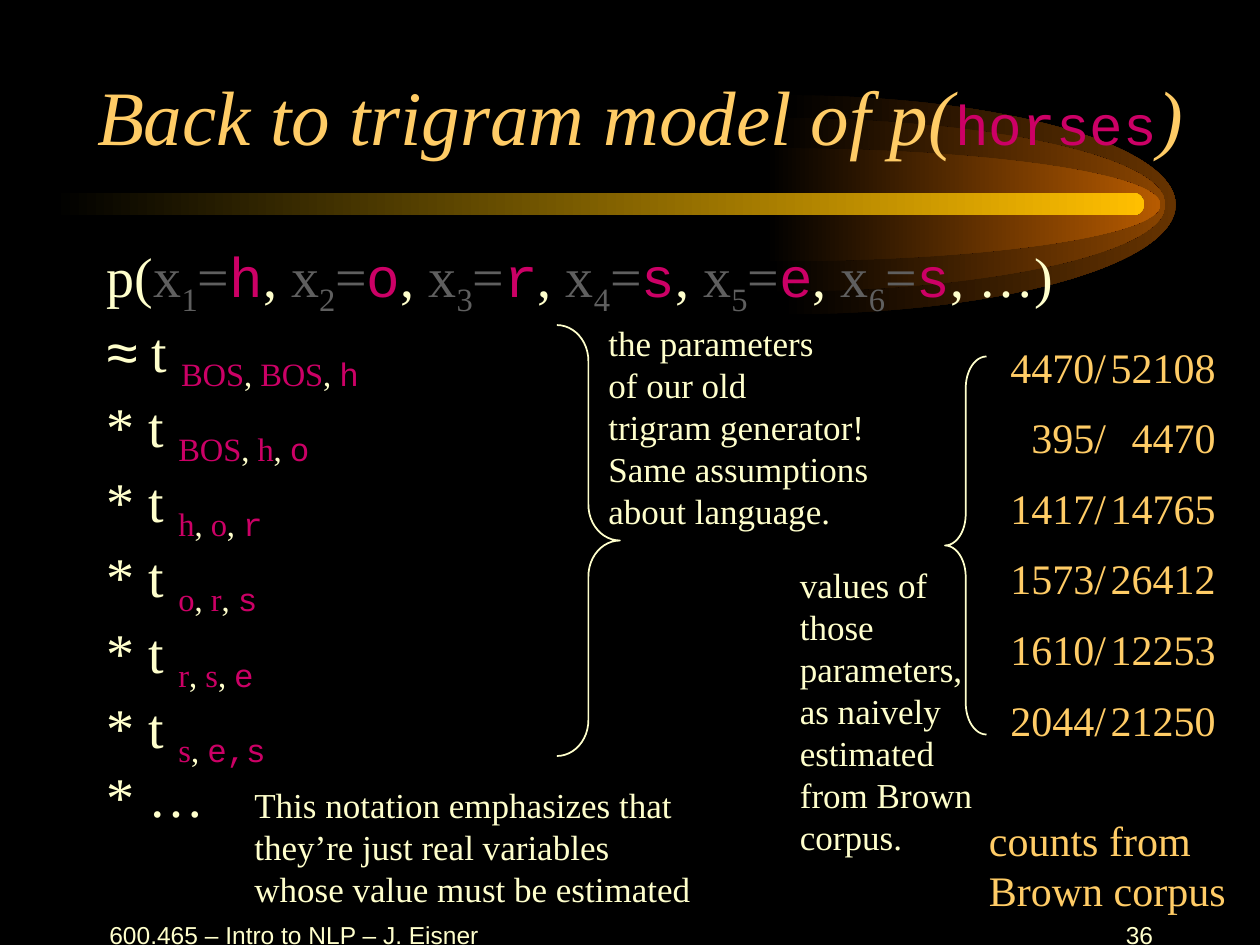
from lxml import etree
from pptx import Presentation
from pptx.dml.color import RGBColor
from pptx.enum.shapes import MSO_SHAPE
from pptx.enum.text import MSO_ANCHOR, PP_ALIGN
from pptx.oxml.ns import qn
from pptx.util import Inches, Pt

LEFT, CENTER, RIGHT = PP_ALIGN.LEFT, PP_ALIGN.CENTER, PP_ALIGN.RIGHT
TOP, MIDDLE, BOTTOM = MSO_ANCHOR.TOP, MSO_ANCHOR.MIDDLE, MSO_ANCHOR.BOTTOM
SERIF, SANS, MONO = "Times New Roman", "Arial", "Courier New"
COLORS = {"black": "000000", "cream": "FFFFCC", "gold": "FFCC66",
          "pink": "CC0066", "gray": "5F5F5F", "bar": "FFBF00",
          "outer": "663300", "middle": "894400", "inner": "B75B00"}

# Content: a paragraph is a string or a list of (text, run format) pairs
TITLE = [("Back to trigram model of p(", {}),
         ("horses", dict(font=MONO, size=32, color="pink", italic=False)),
         (")", {})]
LETTERS = ["h", "o", "r", "s", "e", "s"]
FACTORS = [("≈", ["BOS", "BOS"], "h"), ("*", ["BOS", "h"], "o"),
           ("*", ["h", "o"], "r"), ("*", ["o", "r"], "s"),
           ("*", ["r", "s"], "e"), ("*", ["s"], "e,s")]
COUNTS = [(4470, 52108), (395, 4470), (1417, 14765),
          (1573, 26412), (1610, 12253), (2044, 21250)]
NOTES = [  # left, top, width, height, paragraphs
    (4.73, 2.5, 2.3, 1.77,
     ["the parameters", "of our old", "trigram generator!",
      "Same assumptions", "about language."]),
    (6.25, 4.42, 1.67, 2.44,
     ["values of",
      "those parameters, as naively estimated from Brown corpus."]),
    (1.92, 6.17, 3.75, 1.1,
     ["This notation emphasizes that they’re just real variables "
      "whose value must be estimated"]),
]
FOOTERS = [(0.75, 3.17, CENTER, "600.465 – Intro to NLP – J. Eisner"),
           (7.17, 2.08, RIGHT, "36")]
GLOWS = [(6.2, 0.87, "outer"), (6.12, 0.69, "middle"),
         (6.08, 0.45, "inner")]  # centre x, vertical radius, colour
GLOW_Y, GLOW_RX = 1.625, 3.13
ARC = 0.55  # Bezier handle length of a quarter ellipse
BRACES = [(MSO_SHAPE.RIGHT_BRACE, 4.42, 2.58, 0.5, 3.42),
          (MSO_SHAPE.LEFT_BRACE, 7.5, 2.83, 0.33, 3)]


def rgb(name):
    return RGBColor.from_string(COLORS[name])


def write(sp, paragraphs, font=SERIF, size=20, color="cream", italic=False,
          align=LEFT, anchor=TOP, spacing=None, before=0):
    tf = sp.text_frame
    tf.word_wrap, tf.vertical_anchor = True, anchor
    for i, runs in enumerate(paragraphs):
        p = tf.add_paragraph() if i else tf.paragraphs[0]
        p.alignment, p.line_spacing = align, spacing
        p.space_before = Pt(before)
        for text, fmt in [(runs, {})] if isinstance(runs, str) else runs:
            r = p.add_run()
            r.text = text
            r.font.name = fmt.get("font", font)
            r.font.size = Pt(fmt.get("size", size))
            r.font.italic = fmt.get("italic", italic)
            r.font.color.rgb = rgb(fmt.get("color", color))
            if fmt.get("sub"):
                r.font._element.set("baseline", "-25000")
    return tf


def textbox(s, x, y, w, h, paragraphs, **fmt):
    sp = s.shapes.add_textbox(Inches(x), Inches(y), Inches(w), Inches(h))
    return write(sp, paragraphs, **fmt)


def fade(sp, color):
    sp.shadow.inherit = False
    sp.line.fill.background()
    sp.fill.gradient()
    sp.fill.gradient_angle = 0
    for stop, name in zip(sp.fill.gradient_stops, ("black", color)):
        stop.color.rgb = rgb(name)


def half_ellipse(s, cx, cy, rx, ry):
    fb = s.shapes.build_freeform(Inches(cx), Inches(cy - ry))
    fb.add_line_segments([(Inches(cx + rx), Inches(cy)),
                          (Inches(cx), Inches(cy + ry))], close=True)
    sp = fb.convert_to_shape()
    # Turn the two straight sides into quarter arcs
    arcs = [[(ARC, 0), (1, 1 - ARC), (1, 1)],
            [(1, 1 + ARC), (ARC, 2), (0, 2)]]
    sides = list(sp._element.iter(qn("a:lnTo")))
    for side, arc in zip(sides, arcs):
        curve = etree.Element(qn("a:cubicBezTo"))
        for x, y in arc:
            etree.SubElement(curve, qn("a:pt"), x=str(Inches(x * rx)),
                             y=str(Inches(y * ry)))
        side.getparent().replace(side, curve)
    return sp


def set_tabs(p, stops):
    tabs = etree.SubElement(p._p.get_or_add_pPr(), qn("a:tabLst"))
    for pos in stops:
        etree.SubElement(tabs, qn("a:tab"), pos=str(Inches(pos)), algn="r")


def probability_line():
    pink, gray = dict(font=MONO, color="pink"), dict(color="gray")
    runs = [("p(", {})]
    for i, letter in enumerate(LETTERS, 1):
        runs += [("x", gray), (str(i), dict(gray, sub=True)), ("=", gray),
                 (letter, pink), (", ", {})]
    return runs + [("…)", {})]


def factor_line(sign, history, letter):
    runs = [(sign, dict(font=SANS if sign == "≈" else SERIF)), (" t ", {})]
    for item in history:
        runs += [(item, dict(color="pink", sub=True)), (", ", dict(sub=True))]
    return runs + [(letter, dict(font=MONO, color="pink", sub=True))]


prs = Presentation()
prs.slide_width, prs.slide_height = Inches(10), Inches(7.5)
s = prs.slides.add_slide(prs.slide_layouts[5])
s.background.fill.solid()
s.background.fill.fore_color.rgb = rgb("black")

# Comet: nested half ellipses and a bar
for cx, ry, color in GLOWS:
    fade(half_ellipse(s, cx, GLOW_Y, GLOW_RX, ry), color)
bar = s.shapes.add_shape(MSO_SHAPE.ROUNDED_RECTANGLE, Inches(0.42),
                         Inches(1.53), Inches(8.66), Inches(0.18))
bar.adjustments[0] = 0.5
fade(bar, "bar")

# Footer
for x, w, align, text in FOOTERS:
    textbox(s, x, 7.17, w, 0.5, [text], font=SANS, size=14, align=align,
            anchor=MIDDLE)

# Title, moved in front of the comet
title = s.shapes.title
title.left, title.top = Inches(0.67), Inches(0.08)
title.width, title.height = Inches(8.92), Inches(1.25)
write(title, [TITLE], size=44, color="gold", italic=True, anchor=BOTTOM)
s.shapes._spTree.append(title._element)

# Trigram product
product = [probability_line(), *(factor_line(*f) for f in FACTORS), "* …"]
textbox(s, 0.75, 1.92, 8.5, 5, product, size=32, spacing=0.8, before=8)

# Counts, aligned on right tabs
rows = [f"\t{n}/\t{total}" for n, total in COUNTS]
tf = textbox(s, 7.75, 2.5, 2.25, 4.82, rows + ["counts from Brown corpus"],
             size=24, color="gold", spacing=1.4)
for p in tf.paragraphs[:-1]:
    set_tabs(p, (0.93, 1.8))
caption = tf.paragraphs[-1]
caption.line_spacing, caption.space_before = 1.0, Pt(40)

# Braces and notes
for (kind, x, y, w, h) in BRACES:
    brace = s.shapes.add_shape(kind, Inches(x), Inches(y), Inches(w), Inches(h))
    brace.adjustments[0] = h / 12 / w
    brace.shadow.inherit = False
    brace.fill.background()
    brace.line.color.rgb = rgb("cream")
    brace.line.width = Pt(1)
for x, y, w, h, paragraphs in NOTES:
    textbox(s, x, y, w, h, paragraphs)

prs.save("out.pptx")
